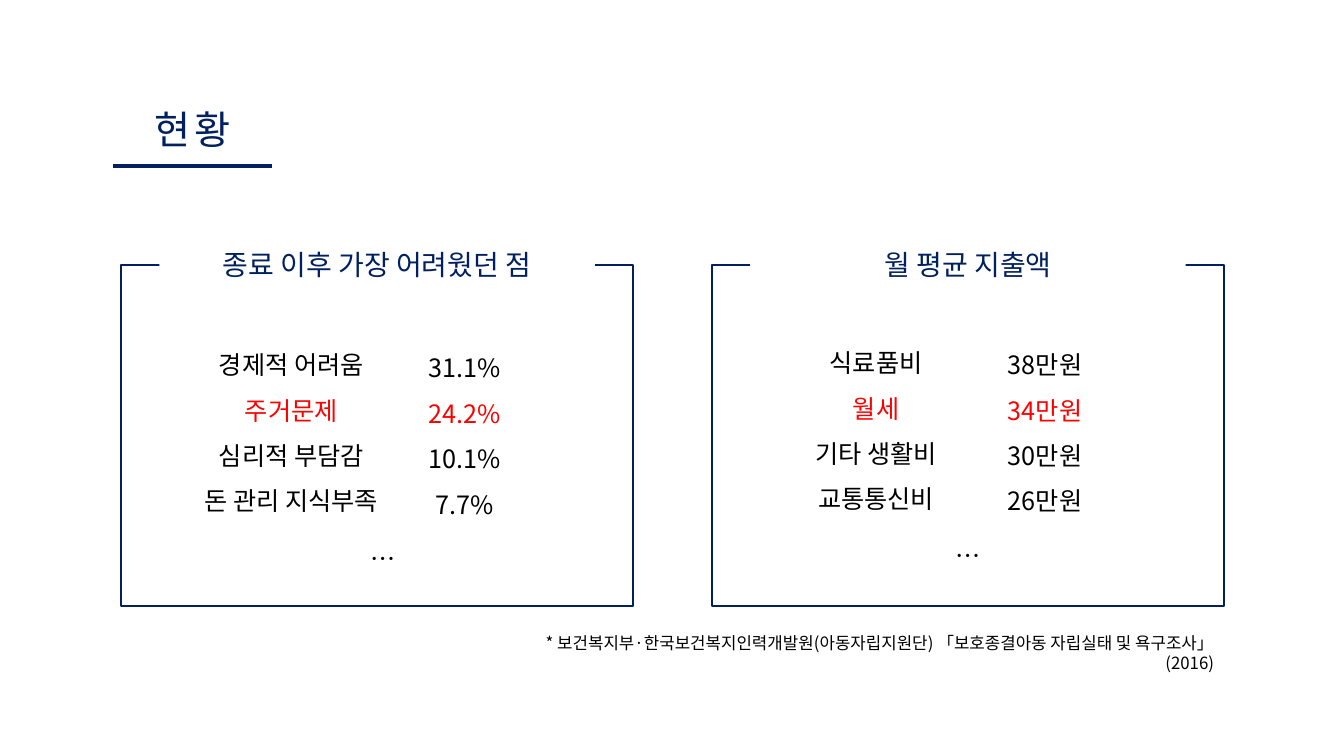
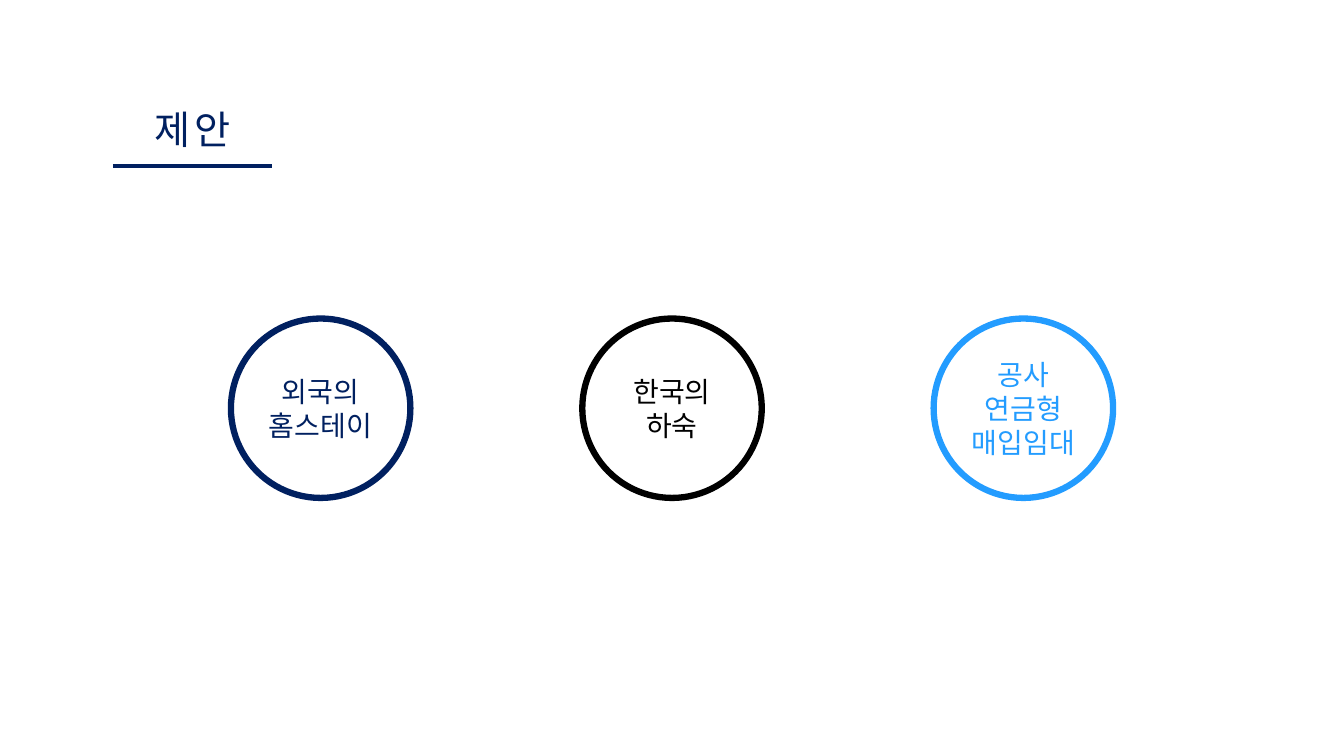
from pptx import Presentation
from pptx.dml.color import RGBColor
from pptx.enum.shapes import MSO_CONNECTOR, MSO_SHAPE
from pptx.enum.text import MSO_ANCHOR, MSO_AUTO_SIZE, PP_ALIGN
from pptx.oxml.ns import qn
from pptx.util import Inches, Pt

NAVY = RGBColor(0x00, 0x20, 0x60)
BLACK = RGBColor(0x00, 0x00, 0x00)
RED = RGBColor(0xFF, 0x00, 0x00)
SKY = RGBColor(0x23, 0x9C, 0xFF)
WHITE = RGBColor(0xFF, 0xFF, 0xFF)
FONT = "Noto Sans CJK KR"
CENTER, RIGHT = PP_ALIGN.CENTER, PP_ALIGN.RIGHT
TOP, MIDDLE = MSO_ANCHOR.TOP, MSO_ANCHOR.MIDDLE
GROW, FIXED = MSO_AUTO_SIZE.SHAPE_TO_FIT_TEXT, MSO_AUTO_SIZE.NONE
RECTANGLE, OVAL = MSO_SHAPE.RECTANGLE, MSO_SHAPE.OVAL
STRAIGHT = MSO_CONNECTOR.STRAIGHT

SLIDE_WIDTH, SLIDE_HEIGHT = 13.33, 7.5

# Each column: offset from the panel's left side, top, width, lines
PANELS = [
    {
        "heading": "종료 이후 가장 어려웠던 점",
        "columns": [
            (0.69, 3.27, 2.0, ["경제적 어려움", "주거문제", "심리적 부담감", "돈 관리 지식부족"]),
            (2.61, 3.3, 1.6, ["31.1%", "24.2%", "10.1%", "7.7%"]),
            (1.6, 5.19, 2.0, ["…"]),
        ],
    },
    {
        "heading": "월 평균 지출액",
        "columns": [
            (0.86, 3.25, 1.54, ["식료품비", "월세", "기타 생활비", "교통통신비"]),
            (2.69, 3.27, 1.23, ["38만원", "34만원", "30만원", "26만원"]),
            (1.77, 5.16, 1.54, ["…"]),
        ],
    },
]
HIGHLIGHT_ROW = 1
SOURCE = "* 보건복지부·한국보건복지인력개발원(아동자립지원단) 「보호종결아동 자립실태 및 욕구조사」 (2016)"
PROPOSALS = [
    (["외국의", "홈스테이"], NAVY),
    (["한국의", "하숙"], BLACK),
    (["공사", "연금형", "매입임대"], SKY),
]

PANEL_LEFT, PANEL_TOP, PANEL_WIDTH, PANEL_HEIGHT = 1.2, 2.63, 5.08, 3.38
PANEL_STEP = 5.86
HEADING_INSET, HEADING_TOP, HEADING_HEIGHT = 0.38, 2.41, 0.44
CIRCLE_SIZE, CIRCLE_TOP, CIRCLE_STEP = 1.78, 3.16, 3.485


def write(shape, lines, size, color, align=CENTER, anchor=TOP, autosize=GROW,
          spacing=None, tracking=None):
    frame = shape.text_frame
    frame.text = "\n".join(lines)
    frame.word_wrap = True
    frame.auto_size = autosize
    frame.vertical_anchor = anchor
    for paragraph in frame.paragraphs:
        paragraph.alignment = align
        if spacing:
            paragraph.line_spacing = spacing
        for run in paragraph.runs:
            run.font.size = Pt(size)
            run.font.name = FONT
            run.font.color.rgb = color
            properties = run.font._element
            east_asian = properties.makeelement(qn("a:ea"), {"typeface": FONT})
            properties.find(qn("a:latin")).addnext(east_asian)
            if tracking:
                properties.set("spc", str(tracking * 100))


def add_text(slide, box, lines, size, color, **style):
    shape = slide.shapes.add_textbox(*map(Inches, box))
    write(shape, lines, size, color, **style)
    return shape


def add_outline(slide, kind, box, fill=None, line=None, weight=1.5):
    shape = slide.shapes.add_shape(kind, *map(Inches, box))
    shape.shadow.inherit = False
    if fill is None:
        shape.fill.background()
    else:
        shape.fill.solid()
        shape.fill.fore_color.rgb = fill
    if line is None:
        shape.line.fill.background()
    else:
        shape.line.color.rgb = line
        shape.line.width = Pt(weight)
    return shape


def add_titled_slide(presentation, title):
    slide = presentation.slides.add_slide(presentation.slide_layouts[6])
    rule = slide.shapes.add_connector(
        STRAIGHT, Inches(1.12), Inches(1.65), Inches(2.7), Inches(1.65))
    rule.line.color.rgb = NAVY
    rule.line.width = Pt(3)
    properties = rule._element.spPr
    properties.append(properties.makeelement(qn("a:effectLst"), {}))
    add_text(slide, (1.02, 1, 1.78, 0.57), [title], 28, NAVY, tracking=3)
    return slide


def add_panel(slide, left, panel):
    add_outline(slide, RECTANGLE, (left, PANEL_TOP, PANEL_WIDTH, PANEL_HEIGHT), line=NAVY)
    heading_box = (left + HEADING_INSET, HEADING_TOP,
                   PANEL_WIDTH - 2 * HEADING_INSET, HEADING_HEIGHT)
    heading = add_outline(slide, RECTANGLE, heading_box, fill=WHITE)
    write(heading, [panel["heading"]], 20, NAVY)
    for offset, top, width, lines in panel["columns"]:
        height = 0.04 + 0.46 * len(lines)
        column = add_text(slide, (left + offset, top, width, height),
                          lines, 18, BLACK, spacing=1.5)
        if len(lines) > HIGHLIGHT_ROW:
            highlight = column.text_frame.paragraphs[HIGHLIGHT_ROW]
            highlight.runs[0].font.color.rgb = RED


def build_status(presentation):
    slide = add_titled_slide(presentation, "현황")
    add_text(slide, (4.81, 6.23, 7.33, 0.3), [SOURCE], 12, BLACK, align=RIGHT)
    for index, panel in enumerate(PANELS):
        add_panel(slide, PANEL_LEFT + index * PANEL_STEP, panel)


def build_proposals(presentation):
    slide = add_titled_slide(presentation, "제안")
    first_left = (SLIDE_WIDTH - CIRCLE_SIZE) / 2 - CIRCLE_STEP
    for index, (lines, color) in enumerate(PROPOSALS):
        box = (first_left + index * CIRCLE_STEP, CIRCLE_TOP, CIRCLE_SIZE, CIRCLE_SIZE)
        circle = add_outline(slide, OVAL, box, line=color, weight=4.5)
        write(circle, lines, 20, color, anchor=MIDDLE, autosize=FIXED)


def main():
    presentation = Presentation()
    presentation.slide_width = Inches(SLIDE_WIDTH)
    presentation.slide_height = Inches(SLIDE_HEIGHT)
    build_status(presentation)
    build_proposals(presentation)
    presentation.save("out.pptx")


if __name__ == "__main__":
    main()
